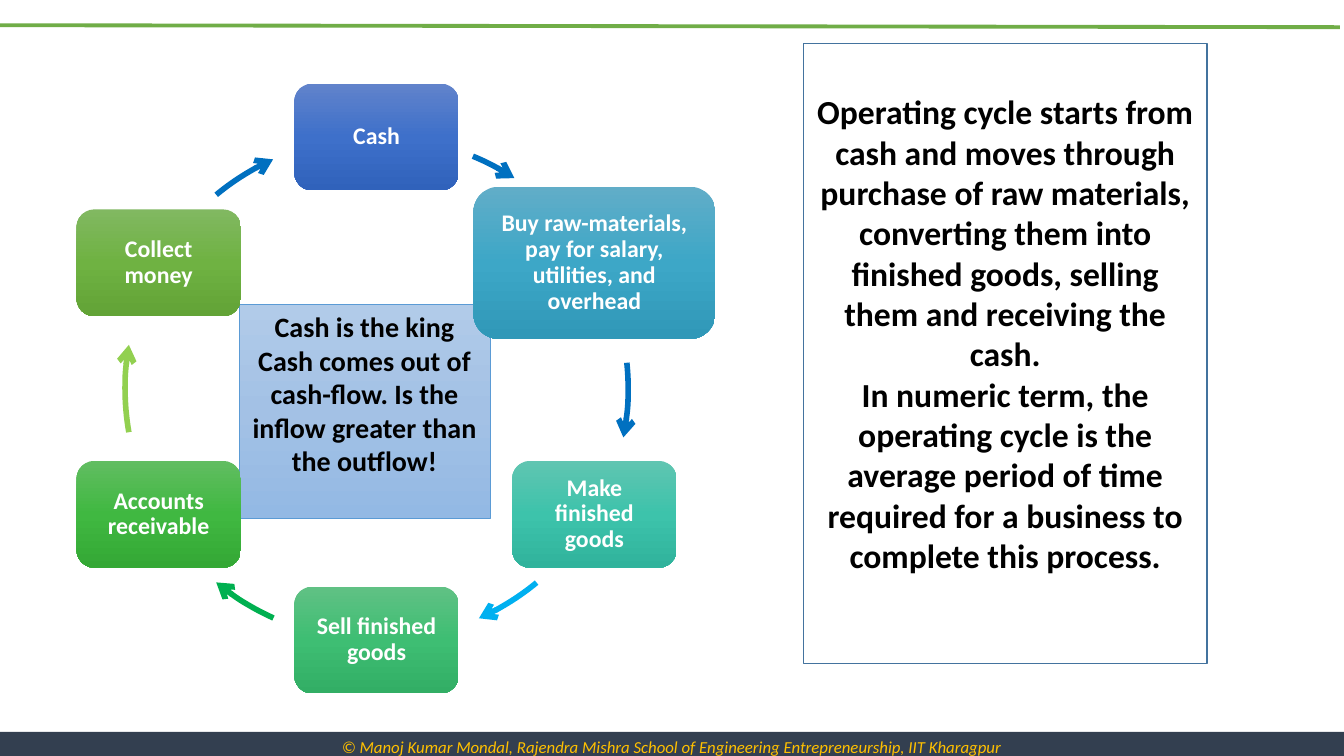
from copy import deepcopy
from math import cos, radians, sin

from lxml import etree
from pptx import Presentation
from pptx import util as u
from pptx.dml.color import RGBColor
from pptx.enum import shapes, text
from pptx.oxml.ns import qn

SLIDE_W, SLIDE_H = 13.33, 7.5
FOOTER = "© Manoj Kumar Mondal, Rajendra Mishra School of Engineering Entrepreneurship, IIT Kharagpur"
KING = ["Cash is the king",
        "Cash comes out of cash-flow. Is the inflow greater than the outflow!"]
EXPLANATION = [
    "Operating cycle starts from cash and moves through purchase of raw materials, "
    "converting them into finished goods, selling them and receiving the cash.",
    "In numeric term, the operating cycle is the average period of time required "
    "for a business to complete this process."]

# Clockwise from the top: stage, gradient
STAGES = [
    ("Cash", ("6183CB", "3E70CA", "3062BB")),
    ("Buy raw-materials, pay for salary, utilities, and overhead", ("61ADC8", "3DA7C7", "3098B8")),
    ("Make finished goods", ("60C5B1", "3DC3AB", "30B39C")),
    ("Sell finished goods", ("60C184", "3EBE73", "32AE65")),
    ("Accounts receivable", ("61BD61", "40B841", "34A835")),
    ("Collect money", ("81B861", "6FB242", "62A336")),
]
# Degrees clockwise from the top: start, end, colour
ARROWS = [(22.5, 33.2, "0070C0"), (84.1, 101.2, "0070C0"), (140.5, 156, "00B0F0"),
          (204.2, 219.6, "00B050"), (260, 280, "92D050"), (320.4, 335.7, "0070C0")]
CENTRE_X, CENTRE_Y, RADIUS = 3.735, 3.855, 2.495
STAGE_SIZE, WIDE_SIZE = (1.63, 1.06), (2.4, 1.51)
WIDE_STAGE = 1


def rgb(value):
    return RGBColor.from_string(value)


def paint(shape, fill=None, line=None, width=1):
    """Fill with one colour, a vertical gradient of three, or nothing."""
    shape.shadow.inherit = False
    if isinstance(fill, tuple):
        shape.fill.gradient()
        shape.fill.gradient_angle = 270
        stops = shape._element.spPr.find(qn("a:gradFill")).find(qn("a:gsLst"))
        stops.insert(1, deepcopy(stops[0]))
        for stop, colour, position in zip(shape.fill.gradient_stops, fill, (0, 0.5, 1)):
            stop.color.rgb, stop.position = rgb(colour), position
    elif fill:
        shape.fill.solid()
        shape.fill.fore_color.rgb = rgb(fill)
    else:
        shape.fill.background()
    if line:
        shape.line.color.rgb, shape.line.width = rgb(line), u.Pt(width)
    else:
        shape.line.fill.background()


def write(shape, paragraphs, colour, font, spacing=1.0, **frame_format):
    frame = shape.text_frame
    frame.word_wrap = True
    for name, value in frame_format.items():
        setattr(frame, name, value)
    for index, words in enumerate(paragraphs):
        paragraph = frame.paragraphs[0] if index == 0 else frame.add_paragraph()
        paragraph.alignment = text.PP_ALIGN.CENTER
        paragraph.line_spacing = spacing
        run = paragraph.add_run()
        run.text = words
        run.font.name, run.font.color.rgb = "Calibri", rgb(colour)
        for name, value in font.items():
            setattr(run.font, name, value)


def main():
    deck = Presentation()
    deck.slide_width, deck.slide_height = u.Inches(SLIDE_W), u.Inches(SLIDE_H)
    canvas = deck.slides.add_slide(deck.slide_layouts[6]).shapes
    kinds = shapes.MSO_SHAPE
    top, middle = text.MSO_ANCHOR.TOP, text.MSO_ANCHOR.MIDDLE

    def add(kind, *box):
        return canvas.add_shape(kind, *map(u.Inches, box))

    footer = add(kinds.RECTANGLE, 0, 7.26, SLIDE_W, 0.3)
    paint(footer, "333F50")
    write(footer, [FOOTER], "FFC000", {"size": u.Pt(12), "italic": True}, vertical_anchor=top)

    rule = canvas.add_connector(shapes.MSO_CONNECTOR.STRAIGHT,
                                *map(u.Inches, (0, 0.25, 13.29, 0.27)))
    rule.line.color.rgb, rule.line.width = rgb("70AD47"), u.Pt(2.75)
    etree.SubElement(rule._element.spPr, qn("a:effectLst"))

    king = add(kinds.RECTANGLE, 2.37, 3.02, 2.49, 2.12)
    paint(king, ("B1CBE9", "A3C1E5", "93B9E4"), "5B9BD5", 0.5)
    write(king, KING, "000000", {"size": u.Pt(20), "bold": True}, vertical_anchor=top)

    for index, ((label, gradient), (start, end, colour)) in enumerate(zip(STAGES, ARROWS)):
        angle = radians(index * 360 / len(STAGES))
        width, height = WIDE_SIZE if index == WIDE_STAGE else STAGE_SIZE
        stage = add(kinds.ROUNDED_RECTANGLE,
                    CENTRE_X + RADIUS * sin(angle) - width / 2,
                    CENTRE_Y - RADIUS * cos(angle) - height / 2, width, height)
        paint(stage, gradient)
        padding = u.Inches(0.15 if index == WIDE_STAGE else 0.12)
        write(stage, [label], "FFFFFF", {"size": u.Pt(17), "bold": True}, 0.9,
              vertical_anchor=middle, margin_left=padding, margin_right=padding)

        arrow = add(kinds.ARC, CENTRE_X - RADIUS, CENTRE_Y - RADIUS, 2 * RADIUS, 2 * RADIUS)
        paint(arrow, None, colour, 4)
        for side, degrees in enumerate((start, end)):
            # Arc angles run from three o'clock, in 60000ths of a degree over 100000
            arrow.adjustments[side] = (degrees - 90) % 360 * 0.6
        etree.SubElement(arrow.line._get_or_add_ln(), qn("a:tailEnd"), type="arrow")

    explanation = add(kinds.RECTANGLE, 7.97, 0.43, 4, 6.15)
    paint(explanation, None, "43739E", 1)
    write(explanation, EXPLANATION, "000000", {"size": u.Pt(24), "bold": True},
          vertical_anchor=middle, margin_bottom=u.Inches(0.45))

    deck.save("out.pptx")


if __name__ == "__main__":
    main()
